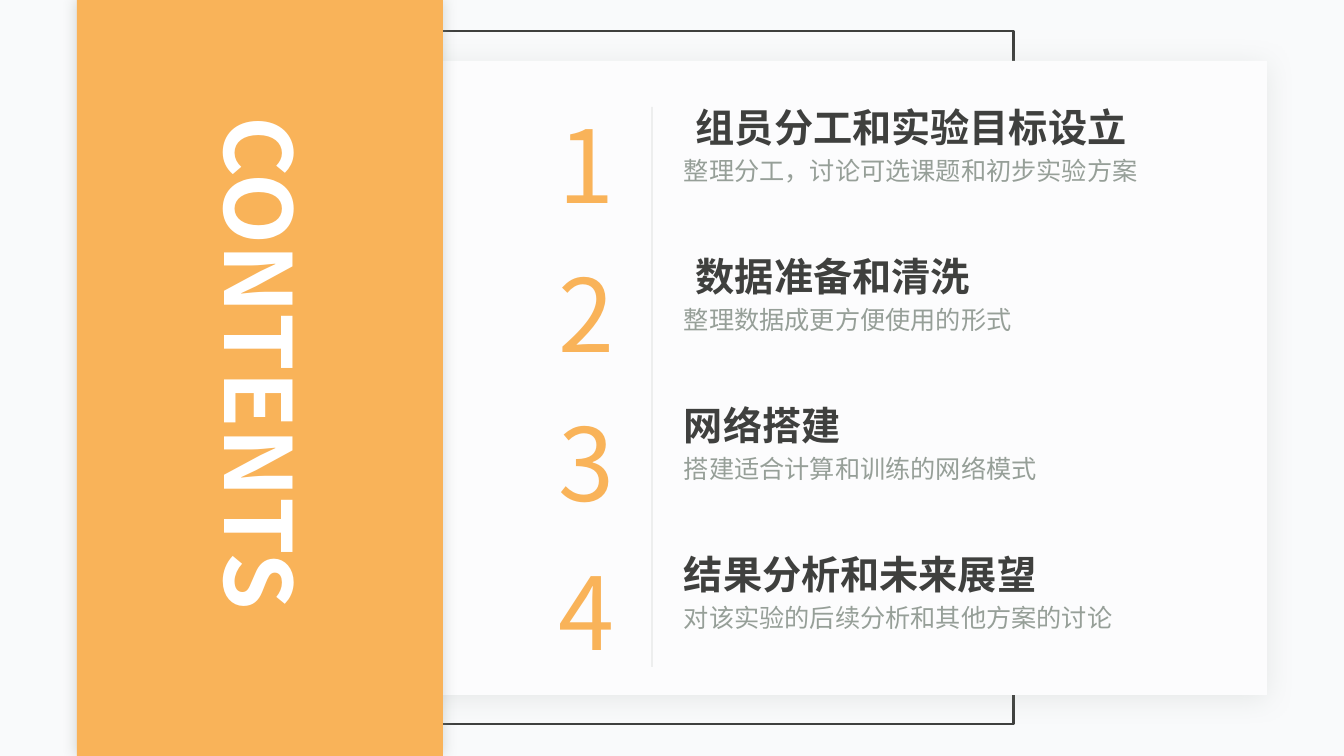
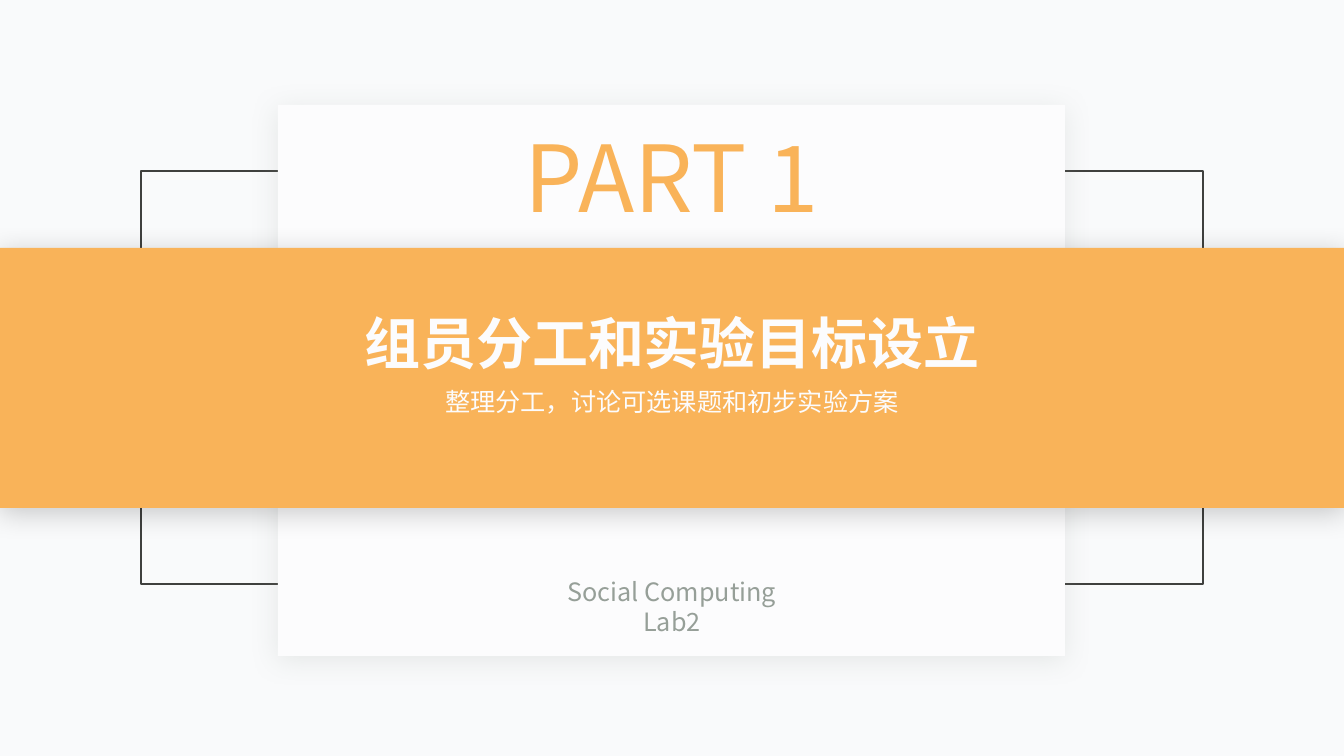
from lxml.etree import SubElement
from pptx import Presentation
from pptx.dml.color import RGBColor
from pptx.enum.shapes import MSO_CONNECTOR as CONNECTOR, MSO_SHAPE as SHAPE
from pptx.enum.text import MSO_ANCHOR as ANCHOR, MSO_AUTO_SIZE as AUTO_SIZE, PP_ALIGN as ALIGN
from pptx.oxml.ns import qn
from pptx.util import Pt

EMU_PER_PX = 914400 / 100.8
WIDTH, HEIGHT = 1344, 756
FONT = "Noto Sans CJK SC"
COLORS = {
    "page": "F9FAFB",
    "card": "FCFCFD",
    "accent": "F9B359",
    "dark": "3F403E",
    "gray": "969F98",
    "white": "FFFFFF",
    "black": "000000",
}
SOFT = dict(color="gray", alpha=20, blur=20, distance=3, angle=90)
DEEP = dict(SOFT, color="black")
GLOW = dict(color="gray", alpha=40, blur=10, distance=0, angle=0)


def add_panel(page, *at, fill=None, shadow=None):
    """Add a filled rectangle with a shadow, or a dark frame when no fill is given."""
    panel = page.shapes.add_shape(SHAPE.RECTANGLE, *[round(v * EMU_PER_PX) for v in at])
    panel.shadow.inherit = False
    if fill is None:
        panel.fill.background()
        panel.line.color.rgb = RGBColor.from_string(COLORS["dark"])
        panel.line.width = Pt(2)
    else:
        panel.fill.solid()
        panel.fill.fore_color.rgb = RGBColor.from_string(COLORS[fill])
        panel.line.fill.background()
    if shadow:
        effects = panel._element.spPr.find(qn("a:effectLst"))
        outer = SubElement(effects, qn("a:outerShdw"), blurRad=str(Pt(shadow["blur"])),
                           dist=str(Pt(shadow["distance"])), dir=str(shadow["angle"] * 60000),
                           algn="ctr", rotWithShape="0")
        tint = SubElement(outer, qn("a:srgbClr"), val=COLORS[shadow["color"]])
        SubElement(tint, qn("a:alpha"), val=str(shadow["alpha"] * 1000))


def add_text(page, text, *at, size=18, color="gray", bold=False, align=ALIGN.LEFT,
             line_spacing=1.0, tracking=None, rotation=0, is_title=False):
    """Write one paragraph into a new text box, or into the title placed on top."""
    if is_title:
        box = page.shapes.title
        page.shapes._spTree.append(box._element)
    else:
        box = page.shapes.add_textbox(0, 0, 0, 0)
    box.left, box.top, box.width, box.height = [round(v * EMU_PER_PX) for v in at]
    box.rotation = rotation
    frame = box.text_frame
    frame.word_wrap = True
    frame.auto_size = AUTO_SIZE.NONE
    frame.vertical_anchor = ANCHOR.TOP
    para = frame.paragraphs[0]
    para.alignment = align
    para.line_spacing = line_spacing
    span = para.add_run()
    span.text = text
    span.font.size = Pt(size)
    span.font.bold = bold
    span.font.color.rgb = RGBColor.from_string(COLORS[color])
    span.font.name = FONT
    properties = span.font._element
    SubElement(properties, qn("a:ea"), typeface=FONT)
    if tracking:
        properties.set("spc", str(tracking * 100))


deck = Presentation()
deck.slide_width = round(WIDTH * EMU_PER_PX)
deck.slide_height = round(HEIGHT * EMU_PER_PX)
background = deck.slide_master.background.fill
background.solid()
background.fore_color.rgb = RGBColor.from_string(COLORS["page"])
title_only = deck.slide_layouts[5]

# Contents
SECTIONS = [
    ("组员分工和实验目标设立", "整理分工，讨论可选课题和初步实验方案", 686),
    ("数据准备和清洗", "整理数据成更方便使用的形式", 686),
    ("网络搭建", "搭建适合计算和训练的网络模式", 674),
    ("结果分析和未来展望", "对该实验的后续分析和其他方案的讨论", 674),
]
page = deck.slides.add_slide(title_only)
add_panel(page, 256, 31, 758, 693)
add_panel(page, 237, 61, 1030, 634, fill="card", shadow=SOFT)

divider = page.shapes.add_connector(
    CONNECTOR.STRAIGHT, *[round(v * EMU_PER_PX) for v in (652, 107, 652, 667)])
divider.line.width = Pt(0.5)
divider.line.color.rgb = RGBColor.from_string(COLORS["gray"])
tint = divider.line._ln.find(".//" + qn("a:srgbClr"))
SubElement(tint, qn("a:alpha"), val="40000")
SubElement(divider._element.spPr, qn("a:effectLst"))

for index, (heading, summary, heading_left) in enumerate(SECTIONS):
    top = 98 + 149 * index
    add_text(page, heading, heading_left, top, 497, 57, size=28, color="dark", bold=True)
    add_text(page, summary, 674, top + 46, 497, 46, line_spacing=1.2)
    add_text(page, str(index + 1), 548, top, 76, 132, size=72, color="accent",
             align=ALIGN.CENTER, tracking=-3)

add_panel(page, 77, 0, 366, HEIGHT, fill="accent", shadow=GLOW)
add_text(page, "CONTENTS", -11, 317, 543, 122, size=66, color="white", bold=True,
         rotation=90, is_title=True)

# Part 1
heading, summary, _ = SECTIONS[0]
page = deck.slides.add_slide(title_only)
add_panel(page, 141, 171, 1062, 413)
add_panel(page, 278, 105, 787, 551, fill="card", shadow=SOFT)
add_panel(page, 0, 248, WIDTH, 260, fill="accent", shadow=DEEP)
add_text(page, heading, 330, 303, 684, 78, size=40, color="card", bold=True,
         align=ALIGN.CENTER, is_title=True)
add_text(page, summary, 354, 381, 636, 40, color="card", align=ALIGN.CENTER)
add_text(page, "PART 1", 507, 115, 330, 122, size=66, color="accent", align=ALIGN.CENTER)
add_text(page, "Social Computing Lab2", 547, 571, 250, 70, align=ALIGN.CENTER)

deck.save("out.pptx")
